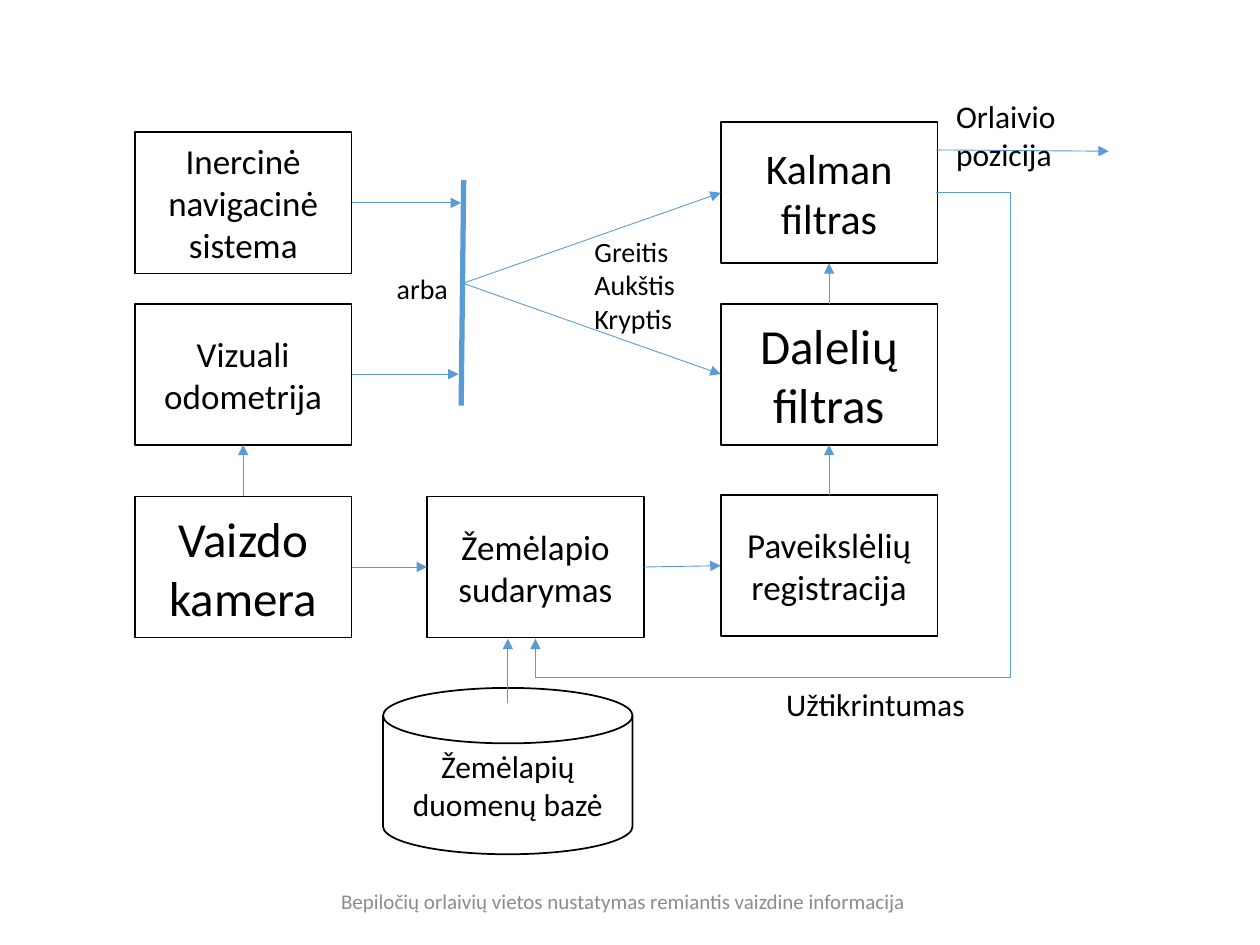
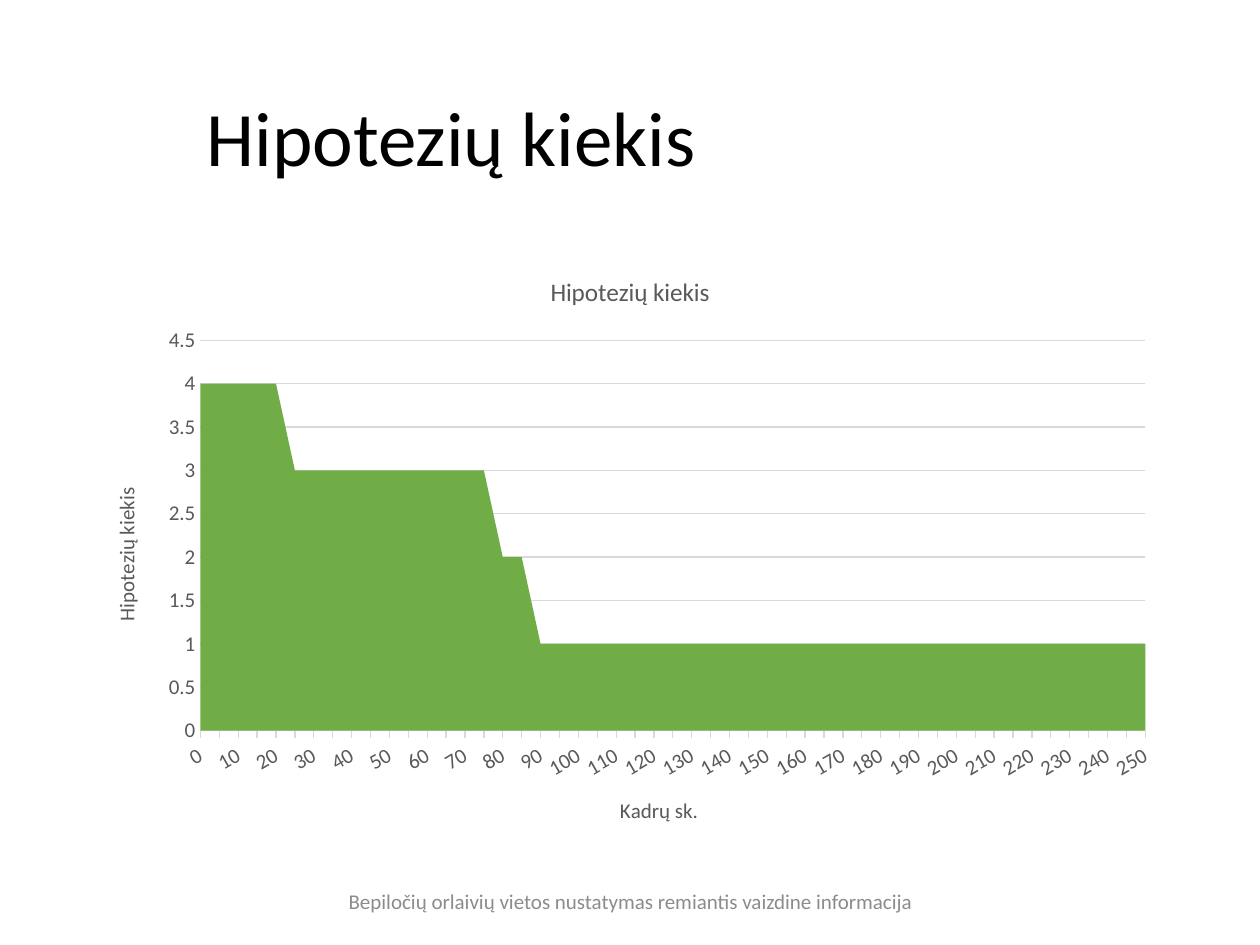
from lxml import etree
from pptx import Presentation
from pptx.chart.data import CategoryChartData
from pptx.dml.color import RGBColor
from pptx.enum import chart as charts, shapes, text
from pptx.oxml.ns import qn
from pptx.util import Pt

PX = 9144  # 100 px to the inch
FONT = "Calibri"
COLORS = {"ink": "000000", "paper": "FFFFFF", "flow": "5B9BD5", "footer": "8C8C8C",
          "label": "595959", "grid": "D9D9D9", "area": "70AD47"}
FOOTER = "Bepiločių orlaivių vietos nustatymas remiantis vaizdine informacija"


def write(frame, content, size, color="ink", align=None, anchor=None, wrap=True, spacing=None):
    """Fill a text frame, one paragraph to a line of content."""
    frame.text = content
    frame.word_wrap = wrap
    if anchor is not None:
        frame.vertical_anchor = anchor
    for para in frame.paragraphs:
        if align is not None:
            para.alignment = align
        if spacing:
            para.line_spacing = spacing
        for span in para.runs:
            span.font.name = FONT
            span.font.size = Pt(size)
            span.font.bold = False
            span.font.color.rgb = RGBColor.from_string(COLORS[color])


def add_label(page, content, x, y, width, height, size, **style):
    box = page.shapes.add_textbox(x * PX, y * PX, width * PX, height * PX)
    write(box.text_frame, content, size, **style)
    return box


deck = Presentation()
deck.slide_width = 1000 * PX
deck.slide_height = 750 * PX
diagram = deck.slides.add_slide(deck.slide_layouts[6])
results = deck.slides.add_slide(deck.slide_layouts[5])
for page, x in ((diagram, 254), (results, 260)):
    add_label(page, FOOTER, x, 695, 481, 40, 12, color="footer",
              align=text.PP_ALIGN.CENTER, anchor=text.MSO_ANCHOR.MIDDLE)

# Slide 1: system diagram
RECT, DISK = shapes.MSO_SHAPE.RECTANGLE, shapes.MSO_SHAPE.FLOWCHART_MAGNETIC_DISK
BLOCK = (172, 112)
blocks = {}
for name, content, kind, x, y, (width, height), size in (
    ("inertial", "Inercinė navigacinė sistema", RECT, 107, 105, BLOCK, 20),
    ("odometry", "Vizuali odometrija", RECT, 107, 241, BLOCK, 20),
    ("camera", "Vaizdo kamera", RECT, 107, 394, BLOCK, 28),
    ("mapping", "Žemėlapio sudarymas", RECT, 339, 394, BLOCK, 20),
    ("kalman", "Kalman filtras", RECT, 572, 97, BLOCK, 24),
    ("particle", "Dalelių filtras", RECT, 572, 241, BLOCK, 28),
    ("registration", "Paveikslėlių registracija", RECT, 572, 393, BLOCK, 20),
    ("database", "Žemėlapių duomenų bazė", DISK, 304, 546, (198, 132), 18),
):
    block = diagram.shapes.add_shape(kind, x * PX, y * PX, width * PX, height * PX)
    block.shadow.inherit = False
    block.fill.solid()
    block.fill.fore_color.rgb = RGBColor.from_string(COLORS["paper"])
    block.line.color.rgb = RGBColor.from_string(COLORS["ink"])
    block.line.width = Pt(1)
    write(block.text_frame, content, size,
          align=text.PP_ALIGN.CENTER, anchor=text.MSO_ANCHOR.MIDDLE)
    blocks[name] = block

# An end is either a point or a block with its side
TOP, LEFT, BOTTOM, RIGHT = range(4)
STRAIGHT, ELBOW = shapes.MSO_CONNECTOR.STRAIGHT, shapes.MSO_CONNECTOR.ELBOW
for begin, end, kind, weight in (
    ((368, 143), (366, 322), STRAIGHT, 3),
    (("inertial", RIGHT), (366, 161), STRAIGHT, 0.5),
    (("odometry", RIGHT), (364, 297), STRAIGHT, 0.5),
    (("camera", TOP), ("odometry", BOTTOM), STRAIGHT, 0.5),
    (("camera", RIGHT), ("mapping", LEFT), STRAIGHT, 0.5),
    (("mapping", RIGHT), ("registration", LEFT), STRAIGHT, 0.5),
    (("registration", TOP), ("particle", BOTTOM), STRAIGHT, 0.5),
    (("particle", TOP), ("kalman", BOTTOM), STRAIGHT, 0.5),
    ((367, 225), ("kalman", LEFT), STRAIGHT, 0.5),
    ((368, 225), ("particle", LEFT), STRAIGHT, 0.5),
    ((403, 558), (403, 507), STRAIGHT, 0.5),
    ((743, 119), (880, 120), STRAIGHT, 0.5),
    ((743, 153), (425, 507), ELBOW, 0.5),
):
    points = [(0, 0) if isinstance(stop[0], str) else stop for stop in (begin, end)]
    flow = diagram.shapes.add_connector(kind, *(value * PX for point in points for value in point))
    if isinstance(begin[0], str):
        flow.begin_connect(blocks[begin[0]], begin[1])
    if isinstance(end[0], str):
        flow.end_connect(blocks[end[0]], end[1])
    flow.line.color.rgb = RGBColor.from_string(COLORS["flow"])
    flow.line.width = Pt(weight)
    properties = flow.element.spPr
    etree.SubElement(properties, qn("a:effectLst"))
    if weight < 1:
        etree.SubElement(properties.find(qn("a:ln")), qn("a:tailEnd"), type="triangle")
    if kind == ELBOW:
        geometry = properties.find(qn("a:prstGeom"))
        geometry.set("prst", "bentConnector4")
        guides = geometry.find(qn("a:avLst"))
        for guide, value in (("adj1", -18500), ("adj2", 108700)):
            etree.SubElement(guides, qn("a:gd"), name=guide, fmla=f"val {value}")

add_label(diagram, "Užtikrintumas", 614, 539, 162, 40, 18, wrap=False)
add_label(diagram, "Greitis\nAukštis\nKryptis", 462, 181, 84, 91, 16, wrap=False)
add_label(diagram, "arba", 305, 211, 61, 37, 16, wrap=False)
position = add_label(diagram, "Orlaivio pozicija", 749, 72, 180, 40, 18)
position.text_frame.margin_right = 25 * PX

# Slide 2: number of hypotheses
title = results.shapes.title
title.left, title.top, title.width, title.height = (n * PX for n in (154, 40, 777, 145))
write(title.text_frame, "Hipotezių kiekis", 44, align=text.PP_ALIGN.LEFT,
      anchor=text.MSO_ANCHOR.MIDDLE, spacing=0.9)

CHART_WIDTH, CHART_HEIGHT = 862, 476
data = CategoryChartData()
data.categories = [str(frame) for frame in range(0, 251, 5)]
data.add_series("Hipotezių kiekis", [4] * 5 + [3] * 11 + [2] * 2 + [1] * 33)
chart = results.shapes.add_chart(charts.XL_CHART_TYPE.AREA, 69 * PX, 200 * PX,
                                 CHART_WIDTH * PX, CHART_HEIGHT * PX, data).chart
chart.has_legend = False
chart.font.name = FONT
chart.font.size = Pt(12)
chart.font.color.rgb = RGBColor.from_string(COLORS["label"])
plot = chart.plots[0]
plot.vary_by_categories = False
plot.has_data_labels = False
area = plot.series[0].format
area.fill.solid()
area.fill.fore_color.rgb = RGBColor.from_string(COLORS["area"])
area.line.fill.background()

frames, counts = chart.category_axis, chart.value_axis
frames.has_major_gridlines = False
frames.major_tick_mark = charts.XL_TICK_MARK.OUTSIDE
counts.major_tick_mark = charts.XL_TICK_MARK.NONE
counts.minimum_scale, counts.maximum_scale, counts.major_unit = 0, 4.5, 0.5
counts.tick_labels.number_format = "General"
counts.tick_labels.number_format_is_linked = False
counts.format.line.fill.background()
counts.has_major_gridlines = True
for rule in (frames.format.line, counts.major_gridlines.format.line):
    rule.color.rgb = RGBColor.from_string(COLORS["grid"])
    rule.width = Pt(0.75)
for axis in (frames, counts):
    axis.tick_labels.font.name = FONT
    axis.tick_labels.font.size = Pt(12)
    axis.tick_labels.font.color.rgb = RGBColor.from_string(COLORS["label"])
# Category labels lean by 30 degrees
frame_labels = chart.element.find(".//" + qn("c:catAx")).find(qn("c:txPr"))
frame_labels.find(qn("a:bodyPr")).set("rot", "-1800000")
chart.has_title = True
for heading, content, size in (
    (chart.chart_title, "Hipotezių kiekis", 14.4),
    (frames.axis_title, "Kadrų sk.", 12),
    (counts.axis_title, "Hipotezių kiekis", 12),
):
    write(heading.text_frame, content, size, color="label")
counts.axis_title.text_frame._txBody.bodyPr.set("rot", "-5400000")

# Fixed places inside the chart, in px
for element, place in (
    (chart.element.find(".//" + qn("c:plotArea")), {"x": 90, "y": 70, "w": 750, "h": 310}),
    (frames.axis_title._element, {"x": 420, "y": 429}),
    (counts.axis_title._element, {"x": 17, "y": 184}),
):
    layout = element.find(qn("c:layout"))
    if layout is None:
        layout = etree.Element(qn("c:layout"))
        element.insert(0, layout)
    manual = etree.SubElement(layout, qn("c:manualLayout"))
    if "w" in place:
        etree.SubElement(manual, qn("c:layoutTarget"), val="inner")
    for side in "xy":
        etree.SubElement(manual, qn(f"c:{side}Mode"), val="edge")
    for side, length in place.items():
        whole = CHART_WIDTH if side in "xw" else CHART_HEIGHT
        etree.SubElement(manual, qn(f"c:{side}"), val=f"{length / whole:.4f}")

deck.save("out.pptx")
